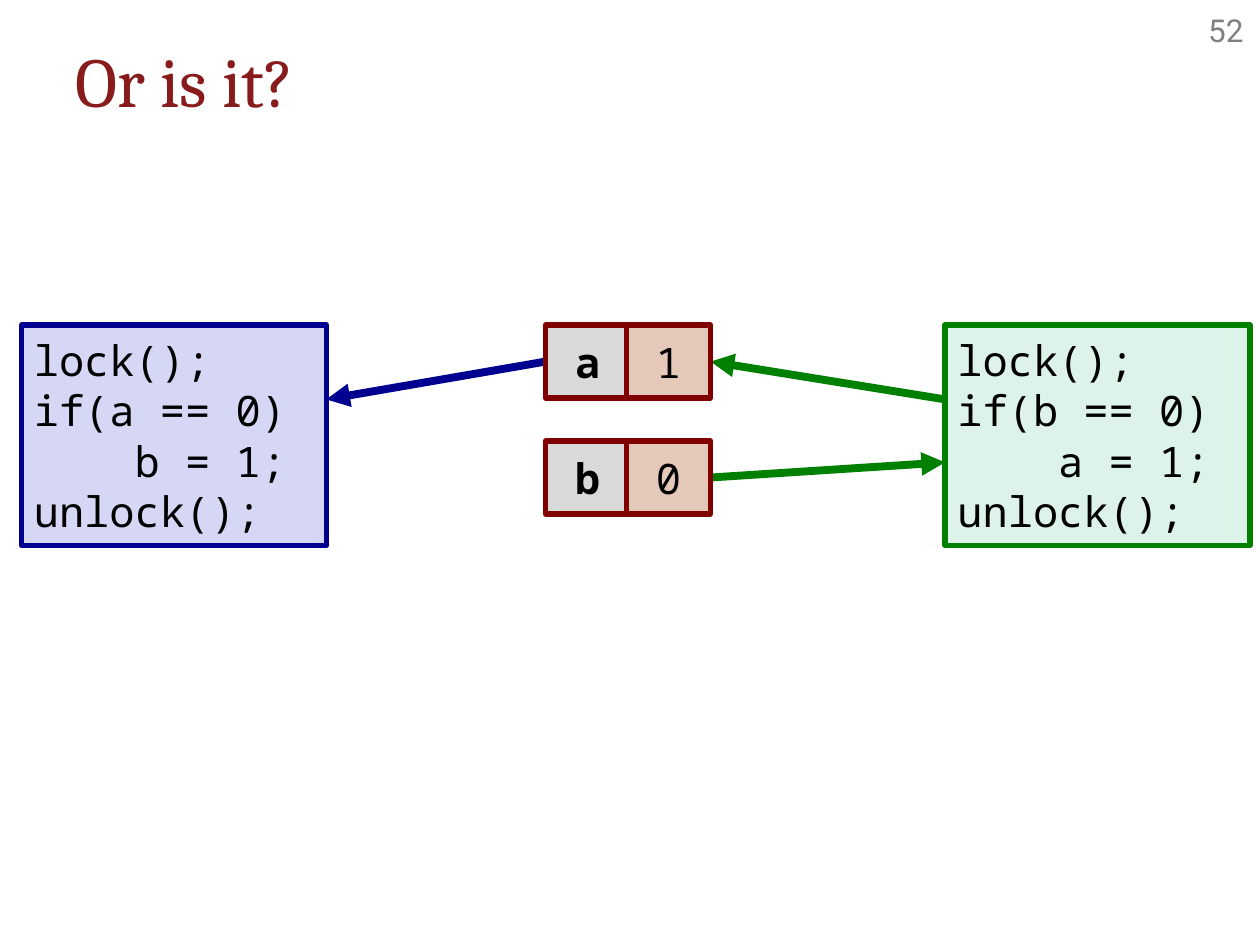
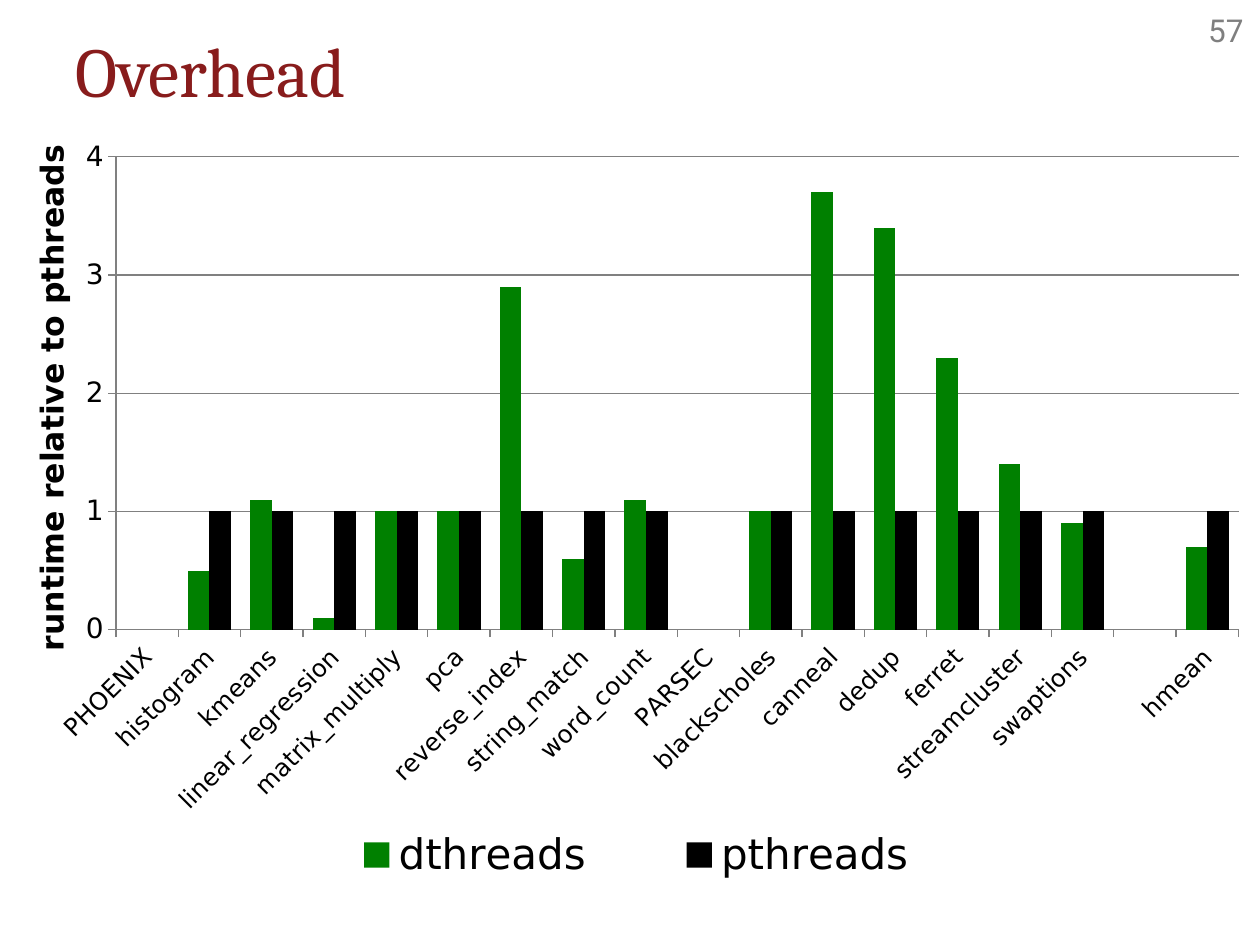
from lxml.etree import SubElement
from pptx import Presentation
from pptx.chart.data import CategoryChartData
from pptx.dml.color import RGBColor
from pptx.enum.chart import XL_CHART_TYPE, XL_LEGEND_POSITION, XL_TICK_MARK
from pptx.enum.shapes import MSO_CONNECTOR, MSO_SHAPE
from pptx.enum.text import MSO_ANCHOR, PP_ALIGN
from pptx.oxml import parse_xml
from pptx.oxml.ns import nsdecls, qn
from pptx.util import Inches, Pt

# Shared look
BLACK, GRAY, RED = "000000", "7F7F7F", "881C1C"
BLUE, GREEN, MAROON = "000090", "008000", "800000"
MONO, SERIF, SANS, LABEL = "Noto Sans Mono", "Cambria", "Roboto", "DejaVu Sans"

# Memory cells and thread boxes
TOP, CELL_H = 2.58, 0.58
CELL_X, CELL_W, CELL_STEP, ROW_STEP = 4.33, 0.67, 0.64, 0.92
CODE_W, CODE_H = 2.42, 1.75
LEFT_X, RIGHT_X = 0.17, 7.5

# Chart data
NAMES = ["PHOENIX", "histogram", "kmeans", "linear_regression",
         "matrix_multiply", "pca", "reverse_index", "string_match",
         "word_count", "PARSEC", "blackscholes", "canneal", "dedup",
         "ferret", "streamcluster", "swaptions", "", "hmean"]
TIMES = [None, 0.5, 1.1, 0.1, 1, 1, 2.9, 0.6, 1.1, None,
         1, 3.7, 3.4, 2.3, 1.4, 0.9, None, 0.7]
BASE = [None if time is None else 1 for time in TIMES]


def color(code):
    return RGBColor.from_string(code)


def style(font, name, size, code=BLACK, bold=False):
    font.name, font.size, font.bold = name, Pt(size), bold
    font.color.rgb = color(code)


def stroke(line, code, width):
    line.color.rgb = color(code)
    line.width = Pt(width)


def write(frame, lines, name, size, code=BLACK, bold=False, align=PP_ALIGN.LEFT):
    for i, line in enumerate(lines):
        par = frame.paragraphs[0] if i == 0 else frame.add_paragraph()
        par.alignment = align
        run = par.add_run()
        run.text = line
        style(run.font, name, size, code, bold)


def label(slide, text, box, name, size, code, wrap=True):
    frame = slide.shapes.add_textbox(*map(Inches, box)).text_frame
    frame.word_wrap = wrap
    frame.vertical_anchor = MSO_ANCHOR.TOP
    write(frame, [text], name, size, code)


def start(deck, title, top, number):
    """Add a blank slide with its title and page number."""
    slide = deck.slides.add_slide(deck.slide_layouts[6])
    label(slide, number, (9.49, 0.04, 0.58, 0.4), SANS, 18, GRAY, False)
    label(slide, title, (0.5, top, 9, 1.25), SERIF, 40, RED)
    return slide


def block(slide, box, fill, edge, lines, bold=False, align=PP_ALIGN.LEFT):
    shape = slide.shapes.add_shape(MSO_SHAPE.RECTANGLE, *map(Inches, box))
    shape.shadow.inherit = False
    shape.fill.solid()
    shape.fill.fore_color.rgb = color(fill)
    stroke(shape.line, edge, 3)
    shape.text_frame.vertical_anchor = MSO_ANCHOR.MIDDLE
    write(shape.text_frame, lines, MONO, 24, BLACK, bold, align)


def cell(slide, row, name, value):
    top = TOP + row * ROW_STEP
    for col, (text, fill) in enumerate([(name, "D9D9D9"), (value, "E4C8BA")]):
        box = (CELL_X + col * CELL_STEP, top, CELL_W, CELL_H)
        block(slide, box, fill, MAROON, [text], col == 0, PP_ALIGN.CENTER)


def code(slide, left, fill, edge, test, goal):
    lines = ["lock();", f"if({test} == 0)", f"    {goal} = 1;", "unlock();"]
    block(slide, (left, TOP, CODE_W, CODE_H), fill, edge, lines)


def arrow(slide, tail, tip, edge):
    line = slide.shapes.add_connector(MSO_CONNECTOR.STRAIGHT, *map(Inches, tail + tip))
    stroke(line.line, edge, 4.5)
    SubElement(line.line._get_or_add_ln(), qn("a:tailEnd"), type="triangle")
    SubElement(line._element.spPr, qn("a:effectLst"))


def place(part, index, x, y, w=None, h=None, inner=False):
    """Give a chart part a fixed spot, in shares of the chart's size."""
    for old in part.findall(qn("c:layout")):
        part.remove(old)
    tags = [("layoutTarget", "inner")] if inner else []
    tags += [("xMode", "edge"), ("yMode", "edge"), ("x", x), ("y", y)]
    if w:
        tags += [("w", w), ("h", h)]
    body = "".join(f'<c:{tag} val="{val}"/>' for tag, val in tags)
    part.insert(index, parse_xml(
        f'<c:layout {nsdecls("c")}><c:manualLayout>{body}</c:manualLayout></c:layout>'))


def set_axis(axis, size):
    axis.major_tick_mark = XL_TICK_MARK.OUTSIDE
    axis.minor_tick_mark = XL_TICK_MARK.NONE
    stroke(axis.format.line, "808080", 0.75)
    style(axis.tick_labels.font, LABEL, size)


def bars(slide):
    data = CategoryChartData()
    data.categories = NAMES
    data.add_series("dthreads", TIMES)
    data.add_series("pthreads", BASE)
    chart = slide.shapes.add_chart(
        XL_CHART_TYPE.COLUMN_CLUSTERED,
        *map(Inches, (0, 0.08, 10, 7.33)), data).chart
    chart.has_title = False
    style(chart.font, LABEL, 16)

    # Columns
    plot = chart.plots[0]
    plot.gap_width, plot.overlap = 88, 0
    plot.vary_by_categories = False
    for series, fill in zip(plot.series, (GREEN, BLACK)):
        series.format.fill.solid()
        series.format.fill.fore_color.rgb = color(fill)
    place(chart._chartSpace.chart.plotArea, 0, 0.092, 0.159, 0.891, 0.512, True)

    # Axes
    names, scale = chart.category_axis, chart.value_axis
    set_axis(names, 14)
    names._element.find(qn("c:txPr")).find(qn("a:bodyPr")).set("rot", "-2700000")
    set_axis(scale, 16)
    scale.minimum_scale, scale.maximum_scale, scale.major_unit = 0, 4, 1
    scale.tick_labels.number_format = "0"
    scale.tick_labels.number_format_is_linked = False
    scale.has_major_gridlines = True
    stroke(scale.major_gridlines.format.line, "808080", 0.75)
    title = scale.axis_title
    write(title.text_frame, ["runtime relative to pthreads"], LABEL, 18, bold=True)
    title.text_frame._txBody.bodyPr.set("rot", "-5400000")
    place(title._element, 1, 0.02, 0.14)

    # Legend
    chart.has_legend = True
    chart.legend.position = XL_LEGEND_POSITION.BOTTOM
    chart.legend.include_in_layout = False
    style(chart.legend.font, LABEL, 24)
    place(chart.legend._element, 1, 0.22, 0.87, 0.57, 0.09)


def race(deck):
    slide = start(deck, "Or is it?", 0.25, "52")
    a_mid = TOP + CELL_H / 2
    b_mid = a_mid + ROW_STEP
    end = CELL_X + CELL_STEP + CELL_W
    arrow(slide, (CELL_X, a_mid), (LEFT_X + CODE_W, 3.17), BLUE)
    arrow(slide, (end, b_mid), (RIGHT_X, 3.67), GREEN)
    arrow(slide, (RIGHT_X, 3.17), (end, a_mid), GREEN)
    cell(slide, 0, "a", "1")
    cell(slide, 1, "b", "0")
    code(slide, LEFT_X, "D6D6F5", BLUE, "a", "b")
    code(slide, RIGHT_X, "DDF3EA", GREEN, "b", "a")


def main():
    deck = Presentation()
    deck.slide_width, deck.slide_height = Inches(10), Inches(7.5)
    race(deck)
    bars(start(deck, "Overhead", 0.17, "57"))
    deck.save("out.pptx")


if __name__ == "__main__":
    main()
